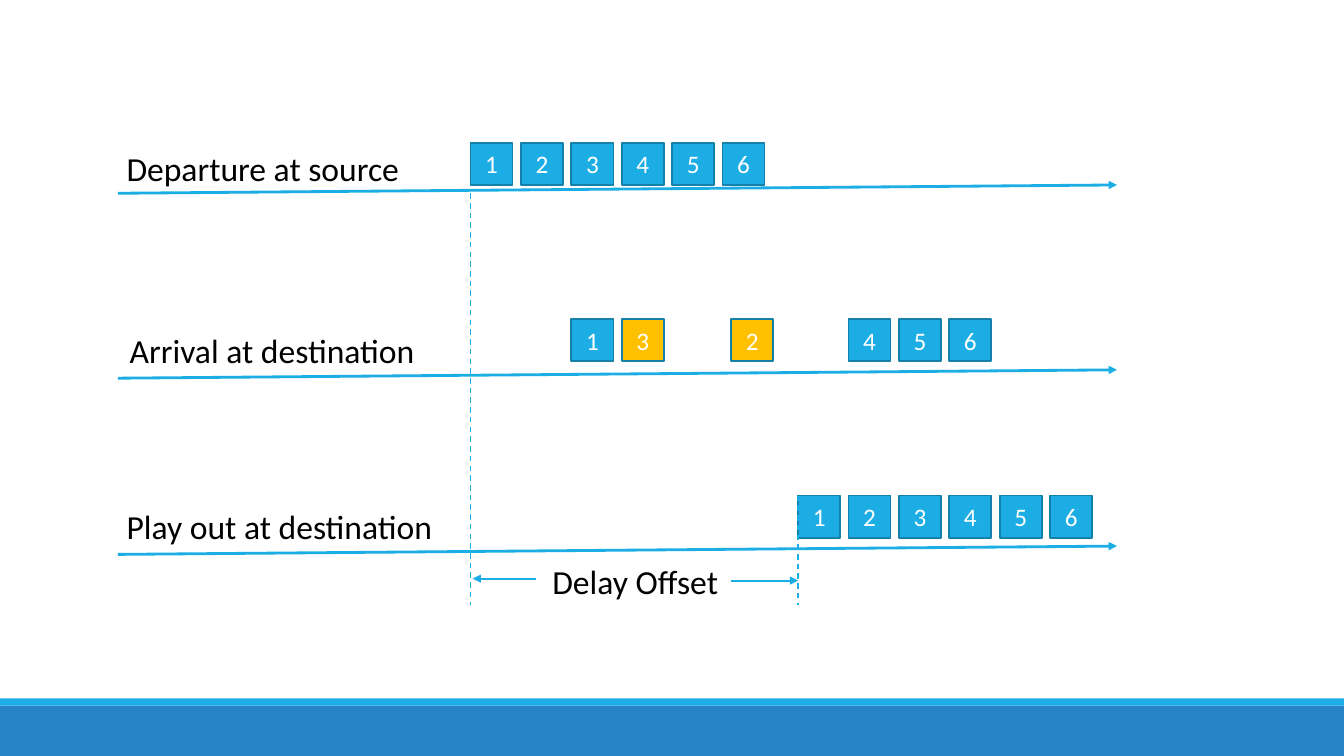
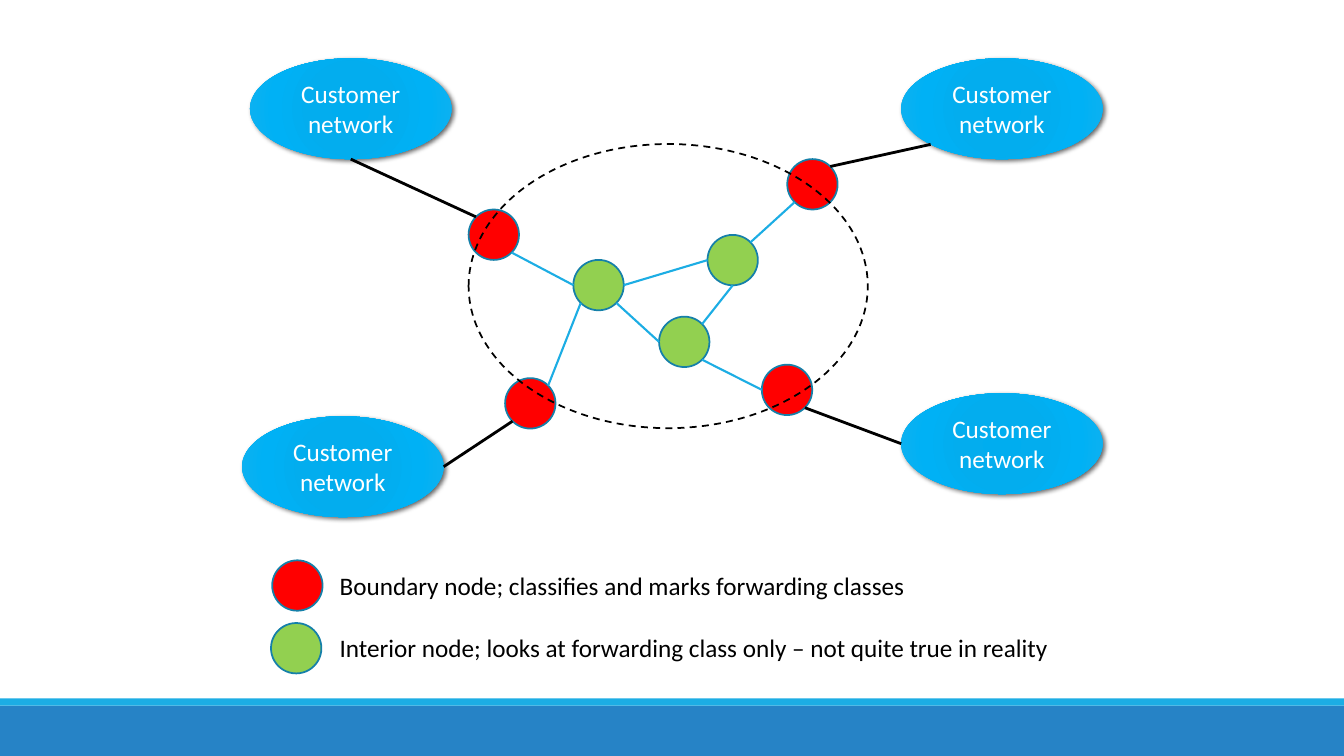
from dataclasses import dataclass
from math import cos, radians, sin
from typing import Any, Optional

from lxml.etree import SubElement
from pptx import Presentation
from pptx.dml.color import RGBColor
from pptx.enum.dml import MSO_LINE
from pptx.enum.shapes import MSO_CONNECTOR, MSO_SHAPE
from pptx.enum.text import MSO_ANCHOR, MSO_AUTO_SIZE, PP_ALIGN
from pptx.oxml import parse_xml
from pptx.oxml.ns import nsdecls, qn
from pptx.util import Cm, Pt


# Theme
@dataclass(frozen=True)
class Theme:
    font: str = "Calibri"
    blue: str = "1CADE4"
    deep: str = "2683C6"
    edge: str = "1580A9"
    amber: str = "FFC000"
    red: str = "FF0000"
    green: str = "92D050"
    black: str = "000000"
    white: str = "FFFFFF"
    glow: tuple[tuple[int, str], ...] = (
        (0, "00ADEF"), (34, "03ADEE"), (70, "00B1F5"), (100, "12B1EE"))
    label: int = 24
    body: int = 18


THEME = Theme()
WIDE, HIGH = 33.87, 19.05
Point = tuple[float, float]


# Repeated elements, in centimetres
@dataclass(frozen=True)
class Box:
    x: float
    y: float
    w: float
    h: float

    def site(self, angle: float) -> Point:
        """Point on the inscribed ellipse, clockwise from the right."""
        turn = radians(angle)
        return (self.x + self.w / 2 * (1 + cos(turn)),
                self.y + self.h / 2 * (1 + sin(turn)))


@dataclass(frozen=True)
class Lane:
    label: str
    place: Box
    axis: float
    top: float
    slots: tuple[float, ...]
    marks: str = "123456"
    late: str = ""


@dataclass(frozen=True)
class Link:
    start: Box
    leave: int
    end: Box
    reach: int


# Drawing tools
def write(shape: Any, text: str, *, size: int = THEME.body,
          color: str = THEME.white, align: PP_ALIGN = PP_ALIGN.CENTER,
          anchor: MSO_ANCHOR = MSO_ANCHOR.MIDDLE, wrap: bool = True) -> None:
    frame = shape.text_frame
    frame.word_wrap = wrap
    frame.vertical_anchor = anchor
    para = frame.paragraphs[0]
    para.alignment = align
    run = para.add_run()
    run.text = text
    run.font.name = THEME.font
    run.font.size = Pt(size)
    run.font.color.rgb = RGBColor.from_string(color)


def label(slide: Any, box: Box, text: str, size: int = THEME.label) -> None:
    shape = slide.shapes.add_textbox(Cm(box.x), Cm(box.y), Cm(box.w), Cm(box.h))
    write(shape, text, size=size, color=THEME.black, align=PP_ALIGN.LEFT,
          anchor=MSO_ANCHOR.TOP, wrap=False)
    shape.text_frame.auto_size = MSO_AUTO_SIZE.SHAPE_TO_FIT_TEXT


def draw(slide: Any, kind: MSO_SHAPE, box: Box, fill: Optional[str] = None,
         edge: Optional[str] = THEME.edge, dash: bool = False) -> Any:
    shape = slide.shapes.add_shape(
        kind, Cm(box.x), Cm(box.y), Cm(box.w), Cm(box.h))
    shape.shadow.inherit = False
    if fill:
        shape.fill.solid()
        shape.fill.fore_color.rgb = RGBColor.from_string(fill)
    else:
        shape.fill.background()
    if edge:
        shape.line.color.rgb = RGBColor.from_string(edge)
        shape.line.width = Pt(1.25)
        if dash:
            shape.line.dash_style = MSO_LINE.DASH
    else:
        shape.line.fill.background()
    return shape


def rule(slide: Any, start: Point, end: Point, color: str = THEME.blue,
         width: float = 1.5, dash: bool = False, arrow: bool = False) -> None:
    line = slide.shapes.add_connector(
        MSO_CONNECTOR.STRAIGHT, *(Cm(v) for v in (*start, *end)))
    line.line.color.rgb = RGBColor.from_string(color)
    line.line.width = Pt(width)
    if dash:
        line.line.dash_style = MSO_LINE.DASH
    props = line.element.spPr
    if arrow:
        SubElement(props.find(qn("a:ln")), qn("a:tailEnd"), type="triangle")
    SubElement(props, qn("a:effectLst"))


def cloud(slide: Any, box: Box) -> None:
    """Customer ellipse with a radial fill and a soft shadow."""
    shape = draw(slide, MSO_SHAPE.OVAL, box, edge=None)
    write(shape, "Customer network")
    stops = "".join(f'<a:gs pos="{at * 1000}"><a:srgbClr val="{tone}"/></a:gs>'
                    for at, tone in THEME.glow)
    props = shape.element.spPr
    props.replace(props.find(qn("a:noFill")), parse_xml(
        f'<a:gradFill {nsdecls("a")}><a:gsLst>{stops}</a:gsLst>'
        '<a:path path="circle"><a:fillToRect l="100000" t="100000" '
        'r="100000" b="100000"/></a:path></a:gradFill>'))
    props.find(qn("a:effectLst")).append(parse_xml(
        f'<a:outerShdw {nsdecls("a")} blurRad="{Pt(3.5)}" dist="{Pt(2)}" '
        f'dir="2700000"><a:srgbClr val="{THEME.black}">'
        '<a:alpha val="60000"/></a:srgbClr></a:outerShdw>'))


# Shared bands, kept on the layout
def dress(layout: Any, slide: Any) -> None:
    for holder in list(layout.placeholders):
        holder.element.getparent().remove(holder.element)
    for top, high, fill in ((17.78, 1.27, THEME.deep), (17.6, 0.18, THEME.blue)):
        band = draw(slide, MSO_SHAPE.RECTANGLE, Box(0, top, WIDE, high), fill,
                    edge=None)
        layout.shapes.element.append(band.element)


# Slide 1: packet timing
SIDE, PITCH, FIRST = 1.06, 1.27, 11.86
LEFT, RIGHT, RISE = 2.97, 28.15, 0.21
FOOT = 15.24
LANES = (
    Lane("Departure at source", Box(2.94, 3.61, 7.44, 1.27), 4.87, 3.6,
         (0, 1, 2, 3, 4, 5)),
    Lane("Arrival at destination", Box(3.02, 8.18, 7.77, 1.27), 9.53, 8.04,
         (2, 3, 5.17, 7.5, 8.5, 9.5), "132456", "32"),
    Lane("Play out at destination", Box(2.94, 12.62, 8.28, 1.27), 13.97, 12.49,
         (6.5, 7.5, 8.5, 9.5, 10.5, 11.5)),
)


def timing(slide: Any) -> None:
    for lane in LANES:
        rule(slide, (LEFT, lane.axis), (RIGHT, lane.axis - RISE), width=2,
             arrow=True)
        label(slide, lane.place, lane.label)
        for slot, mark in zip(lane.slots, lane.marks):
            fill = THEME.amber if mark in lane.late else THEME.blue
            box = Box(FIRST + slot * PITCH, lane.top, SIDE, SIDE)
            write(draw(slide, MSO_SHAPE.RECTANGLE, box, fill), mark)
    # Delay between first departure and first play out
    last = FIRST + LANES[2].slots[0] * PITCH
    for x, top in ((FIRST, LANES[0].axis), (last, LANES[2].top)):
        rule(slide, (x, top), (x, FOOT), width=1, dash=True)
    label(slide, Box(13.67, 14, 4.75, 1.27), "Delay Offset")
    rule(slide, (18.42, 14.63), (last, 14.63), arrow=True)
    rule(slide, (13.51, 14.58), (11.91, 14.58), arrow=True)


# Slide 2: network domain
NODE = 1.27
EAST, SE, SOUTH, SW, WEST, NW, NE = 0, 45, 90, 135, 180, 225, 315


def node(x: float, y: float) -> Box:
    return Box(x, y, NODE, NODE)


def client(x: float, y: float) -> Box:
    return Box(x, y, 5.08, 2.54)


BOUND = (node(11.81, 5.28), node(19.84, 4.01), node(12.73, 9.53),
         node(19.2, 9.19))
INNER = (node(14.45, 6.55), node(17.83, 5.92), node(16.61, 7.98))
CLIENTS = (client(6.3, 1.47), client(22.71, 1.47), client(6.1, 10.49),
           client(22.71, 9.91))
CORE = (
    Link(BOUND[0], SE, INNER[0], WEST),
    Link(BOUND[2], NE, INNER[0], SW),
    Link(INNER[2], WEST, INNER[0], SE),
    Link(INNER[1], WEST, INNER[0], EAST),
    Link(INNER[1], SOUTH, INNER[2], NE),
    Link(BOUND[1], SW, INNER[1], NE),
    Link(BOUND[3], WEST, INNER[2], SE),
)
ACCESS = (
    Link(CLIENTS[0], SOUTH, BOUND[0], NW),
    Link(CLIENTS[2], EAST, BOUND[2], SW),
    Link(BOUND[1], NE, CLIENTS[1], SW),
    Link(BOUND[3], SE, CLIENTS[3], WEST),
)
KEYS = (
    (node(6.86, 14.12), THEME.red, Box(8.31, 14.25, 14.91, 1.02),
     "Boundary node; classifies and marks forwarding classes"),
    (node(6.83, 15.7), THEME.green, Box(8.31, 15.82, 18.72, 1.02),
     "Interior node; looks at forwarding class only – not quite true in reality"),
)


def join(slide: Any, links: tuple[Link, ...], color: str, width: float) -> None:
    for link in links:
        rule(slide, link.start.site(link.leave), link.end.site(link.reach),
             color, width)


def domain(slide: Any) -> None:
    for group, fill in ((BOUND, THEME.red), (INNER, THEME.green)):
        for box in group:
            draw(slide, MSO_SHAPE.OVAL, box, fill)
    join(slide, CORE, THEME.blue, 1.5)
    draw(slide, MSO_SHAPE.OVAL, Box(11.81, 3.63, 10.06, 7.16),
         edge=THEME.black, dash=True)
    for box in CLIENTS:
        cloud(slide, box)
    join(slide, ACCESS, THEME.black, 2)
    # Legend
    for box, fill, place, text in KEYS:
        draw(slide, MSO_SHAPE.OVAL, box, fill)
        label(slide, place, text, THEME.body)


def main() -> None:
    deck = Presentation()
    deck.slide_width, deck.slide_height = Cm(WIDE), Cm(HIGH)
    blank = deck.slide_layouts[6]
    first, second = (deck.slides.add_slide(blank) for _ in range(2))
    dress(blank, first)
    timing(first)
    domain(second)
    deck.save("out.pptx")


if __name__ == "__main__":
    main()
